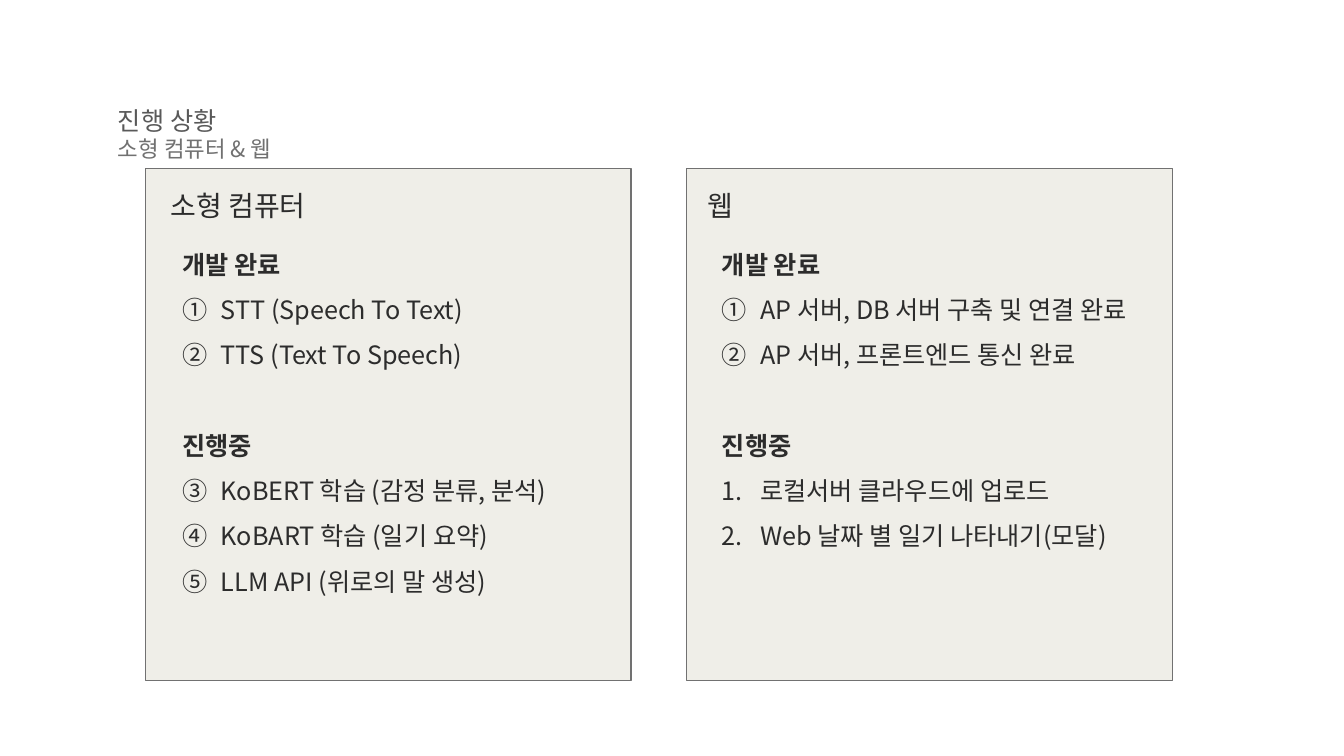
import dataclasses

import pptx
import pptx.dml.color
import pptx.enum.shapes
import pptx.enum.text
import pptx.oxml.ns
import pptx.util
from lxml import etree
from pptx.util import Inches


@dataclasses.dataclass(frozen=True)
class Theme:
    """Colours, font and type sizes of the slide."""

    font: str = "Noto Sans CJK KR"
    ink: str = "2C2C2C"
    title: str = "595959"
    muted: str = "717171"
    panel: str = "EFEEE8"
    title_size: int = 18
    subtitle_size: int = 16
    heading_size: int = 20
    body_size: int = 18
    group_gap: int = 32


THEME = Theme()
CIRCLED = "circleNumDbPlain"
DECIMAL = "arabicPeriod"


def colour(value):
    """Turn a hex string into a colour."""
    return pptx.dml.color.RGBColor.from_string(value)


def add_element(parent, tag, **attributes):
    """Append a drawing element with attributes."""
    return etree.SubElement(parent, pptx.oxml.ns.qn(tag), attributes)


def set_text(para, text, size=THEME.body_size, color=THEME.ink, bold=False,
             numbering=None, start=1, spacing=1.0, before=0):
    """Fill a paragraph with one formatted span."""
    properties = para._p.get_or_add_pPr()
    indent = Inches(0.38) if numbering else 0
    properties.set("marL", str(indent))
    properties.set("indent", str(-indent))
    if numbering:
        add_element(properties, "a:buFont", typeface=THEME.font)
        add_element(properties, "a:buAutoNum", type=numbering, startAt=str(start))
    else:
        add_element(properties, "a:buNone")
    para.alignment = pptx.enum.text.PP_ALIGN.LEFT
    para.line_spacing = spacing
    para.space_before = pptx.util.Pt(before)
    span = para.add_run()
    span.text = text
    span.font.name = THEME.font
    span.font.size = pptx.util.Pt(size)
    span.font.bold = bold
    span.font.color.rgb = colour(color)
    add_element(span.font._element, "a:ea", typeface=THEME.font)


def place(box, left, top, width, height):
    """Move a placeholder and return its text frame."""
    box.left, box.top = Inches(left), Inches(top)
    box.width, box.height = Inches(width), Inches(height)
    frame = box.text_frame
    frame.word_wrap = True
    frame.auto_size = pptx.enum.text.MSO_AUTO_SIZE.SHAPE_TO_FIT_TEXT
    frame.vertical_anchor = pptx.enum.text.MSO_ANCHOR.TOP
    return frame


def add_panel(slide, left):
    """Draw a panel behind the placeholders."""
    panel = slide.shapes.add_shape(
        pptx.enum.shapes.MSO_SHAPE.RECTANGLE,
        Inches(left), Inches(1.67), Inches(4.82), Inches(5.08))
    panel.shadow.inherit = False
    panel.fill.solid()
    panel.fill.fore_color.rgb = colour(THEME.panel)
    panel.line.color.rgb = colour(THEME.muted)
    panel.line.width = pptx.util.Pt(1)
    slide.shapes.title.element.addprevious(panel.element)


def fill_title(box, title, subtitle):
    """Write the title and the line under it."""
    frame = place(box, 1.07, 0.99, 4.35, 0.67)
    set_text(frame.paragraphs[0], title, size=THEME.title_size, color=THEME.title)
    set_text(frame.add_paragraph(), subtitle,
             size=THEME.subtitle_size, color=THEME.muted)


def fill_heading(box, left, text):
    """Write the heading of a panel."""
    frame = place(box, left, 1.82, 3.3, 0.44)
    set_text(frame.paragraphs[0], text, size=THEME.heading_size)


def fill_progress(box, left, width, height, groups):
    """Write groups of numbered items under bold labels."""
    frame = place(box, left, 2.27, width, height)
    for index, (label, numbering, start, items) in enumerate(groups):
        para = frame.add_paragraph() if index else frame.paragraphs[0]
        set_text(para, label, bold=True, spacing=1.5,
                 before=THEME.group_gap if index else 0)
        for item in items:
            set_text(frame.add_paragraph(), item, numbering=numbering,
                     start=start, spacing=1.5)


def main():
    """Build the progress slide."""
    deck = pptx.Presentation()
    deck.slide_width, deck.slide_height = Inches(13.33), Inches(7.5)
    slide = deck.slides.add_slide(deck.slide_layouts.get_by_name("Comparison"))
    title, left_heading, left_body, right_heading, right_body = [
        box for box in slide.placeholders]
    for left in (1.44, 6.81):
        add_panel(slide, left)
    fill_title(title, "진행 상황", "소형 컴퓨터 & 웹")
    fill_heading(left_heading, 1.59, "소형 컴퓨터")
    fill_heading(right_heading, 6.92, "웹")
    fill_progress(left_body, 1.71, 4.31, 4.15, [
        ("개발 완료", CIRCLED, 1, ["STT (Speech To Text)", "TTS (Text To Speech)"]),
        ("진행중", CIRCLED, 3, ["KoBERT 학습 (감정 분류, 분석)",
                             "KoBART 학습 (일기 요약)",
                             "LLM API (위로의 말 생성)"]),
    ])
    fill_progress(right_body, 7.06, 4.56, 3.24, [
        ("개발 완료", CIRCLED, 1, ["AP 서버, DB 서버 구축 및 연결 완료",
                               "AP 서버, 프론트엔드 통신 완료"]),
        ("진행중", DECIMAL, 1, ["로컬서버 클라우드에 업로드",
                             "Web 날짜 별 일기 나타내기(모달)"]),
    ])
    deck.save("out.pptx")


if __name__ == "__main__":
    main()
